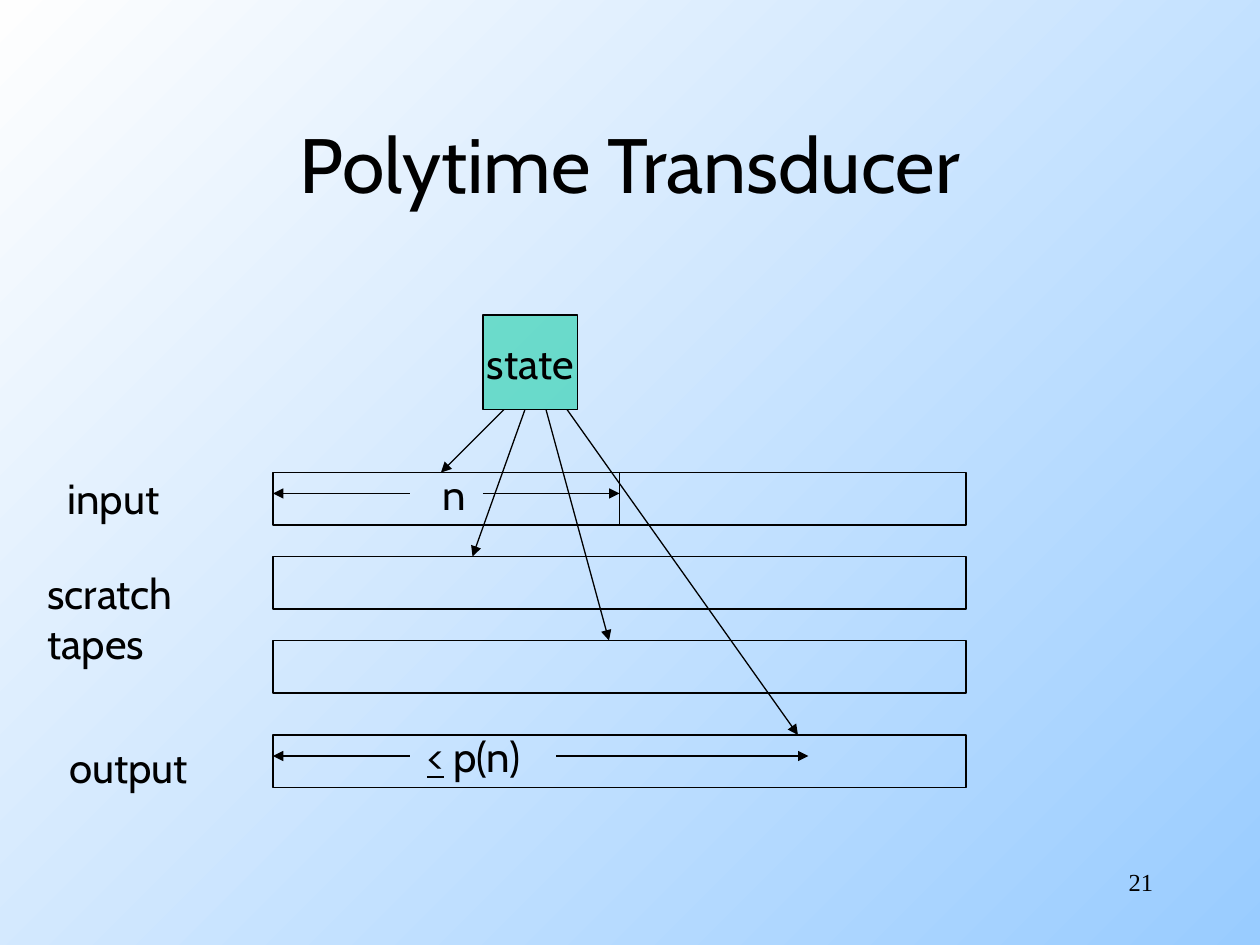
from dataclasses import dataclass

from lxml import etree
from pptx import Presentation
from pptx.dml.color import RGBColor
from pptx.enum.shapes import MSO_CONNECTOR, MSO_SHAPE
from pptx.enum.text import MSO_ANCHOR, MSO_AUTO_SIZE, PP_ALIGN
from pptx.oxml.ns import qn
from pptx.util import Pt

RECTANGLE = MSO_SHAPE.RECTANGLE
STRAIGHT = MSO_CONNECTOR.STRAIGHT
LEFT, CENTER, RIGHT = PP_ALIGN.LEFT, PP_ALIGN.CENTER, PP_ALIGN.RIGHT
TOP, MIDDLE = MSO_ANCHOR.TOP, MSO_ANCHOR.MIDDLE
FIT_SHAPE = MSO_AUTO_SIZE.SHAPE_TO_FIT_TEXT

COLORS = {"ink": "000000", "state": "00CC99", "sky": "99CCFF", "white": "FEFEFE"}
BODY_FONT, NUMBER_FONT = "Cabin", "Times New Roman"
LINE_WIDTH = 0.75

# Tape geometry in points
TAPE_LEFT, TAPE_WIDTH, TAPE_HEIGHT = 156, 396, 30
TAPE_TOPS = (270, 318, 366, 420)
MEASURE_OFFSET = 12  # measuring arrows sit this far below a tape's top
STATE_LEFT, STATE_TOP, STATE_SIZE = 276, 180, 54
HEAD_TARGETS = (252, 270, 348, 456)  # where each head meets its tape
HEAD_GAP = 12


@dataclass
class Run:
    text: str
    underline: bool = False


@dataclass
class Label:
    left: float
    top: float
    width: float
    height: float
    paragraphs: list[list[Run]]
    size: float = 24
    font: str = BODY_FONT
    align: PP_ALIGN = LEFT
    anchor: MSO_ANCHOR = TOP
    wrap: bool = False


@dataclass
class Arrow:
    start: tuple[float, float]
    end: tuple[float, float]


LABELS = [
    Label(54, 48, 612, 90, [[Run("Polytime Transducer")]], size=44,
          align=CENTER, anchor=MIDDLE, wrap=True),
    Label(245.5, 264, 29, 36, [[Run("n")]]),
    Label(31.5, 266.5, 73.5, 36, [[Run("input")]]),
    Label(20, 320.5, 96, 65, [[Run("scratch")], [Run("tapes")]]),
    Label(32.5, 420, 90.5, 36, [[Run("output")]]),
    Label(237, 414, 78.5, 36, [[Run("<", underline=True), Run(" p(n)")]]),
    Label(516, 492, 150, 36, [[Run("21")]], size=14, font=NUMBER_FONT,
          align=RIGHT, wrap=True),
]


def color(name: str) -> RGBColor:
    return RGBColor.from_string(COLORS[name])


def write_text(shape, label: Label) -> None:
    frame = shape.text_frame
    frame.word_wrap = label.wrap
    frame.vertical_anchor = label.anchor
    for index, runs in enumerate(label.paragraphs):
        paragraph = frame.add_paragraph() if index else frame.paragraphs[0]
        paragraph.alignment = label.align
        for item in runs:
            run = paragraph.add_run()
            run.text = item.text
            run.font.name = label.font
            run.font.size = Pt(label.size)
            run.font.color.rgb = color("ink")
            if item.underline:
                run.font.underline = True


def add_label(slide, label: Label) -> None:
    box = slide.shapes.add_textbox(
        Pt(label.left), Pt(label.top), Pt(label.width), Pt(label.height))
    write_text(box, label)
    if not label.wrap:
        box.text_frame.auto_size = FIT_SHAPE


def add_box(slide, left: float, top: float, width: float, height: float):
    box = slide.shapes.add_shape(RECTANGLE, Pt(left), Pt(top), Pt(width), Pt(height))
    box.shadow.inherit = False
    box.fill.background()
    box.line.color.rgb = color("ink")
    box.line.width = Pt(LINE_WIDTH)
    return box


def add_line(slide, line: Arrow, has_head: bool = True):
    connector = slide.shapes.add_connector(
        STRAIGHT, *(Pt(value) for value in (*line.start, *line.end)))
    connector.line.color.rgb = color("ink")
    connector.line.width = Pt(LINE_WIDTH)
    properties = connector.element.spPr
    if has_head:
        etree.SubElement(properties.find(qn("a:ln")), qn("a:tailEnd"), type="triangle")
    etree.SubElement(properties, qn("a:effectLst"))
    return connector


def paint_background(slide) -> None:
    fill = slide.background.fill
    fill.gradient()
    fill.gradient_angle = 135
    for stop, name, position in zip(fill.gradient_stops, ("sky", "white"), (0, 1)):
        stop.color.rgb = color(name)
        stop.position = position


def add_state(slide) -> None:
    state = add_box(slide, STATE_LEFT, STATE_TOP, STATE_SIZE, STATE_SIZE)
    state.fill.solid()
    state.fill.fore_color.rgb = color("state")
    tint = state.element.spPr.find(qn("a:solidFill"))[0]
    etree.SubElement(tint, qn("a:alpha"), val="50000")
    write_text(state, Label(STATE_LEFT, STATE_TOP, STATE_SIZE, STATE_SIZE,
                            [[Run("state")]], align=CENTER, anchor=MIDDLE))


def main() -> None:
    presentation = Presentation()
    presentation.slide_width, presentation.slide_height = Pt(720), Pt(540)
    slide = presentation.slides.add_slide(presentation.slide_layouts[6])
    paint_background(slide)

    # State box and tapes
    add_state(slide)
    tapes = [add_box(slide, TAPE_LEFT, top, TAPE_WIDTH, TAPE_HEIGHT)
             for top in TAPE_TOPS]

    # Divider at the end of the input
    middle = TAPE_LEFT + TAPE_WIDTH / 2
    divider = add_line(slide, Arrow((middle, TAPE_TOPS[0]),
                                    (middle, TAPE_TOPS[0] + TAPE_HEIGHT)), has_head=False)
    divider.begin_connect(tapes[0], 0)
    divider.end_connect(tapes[0], 2)

    # Measuring arrows on the input and output tapes
    for top, right_start, right_end in ((TAPE_TOPS[0], 276, middle),
                                        (TAPE_TOPS[-1], 318, 462)):
        y = top + MEASURE_OFFSET
        add_line(slide, Arrow((234, y), (TAPE_LEFT, y)))
        add_line(slide, Arrow((right_start, y), (right_end, y)))

    # Heads from the state box to each tape
    for index, target in enumerate(zip(HEAD_TARGETS, TAPE_TOPS), start=1):
        start = (STATE_LEFT + index * HEAD_GAP, STATE_TOP + STATE_SIZE)
        add_line(slide, Arrow(start, target))

    # Title, labels and slide number
    for label in LABELS:
        add_label(slide, label)

    presentation.save("out.pptx")


if __name__ == "__main__":
    main()
